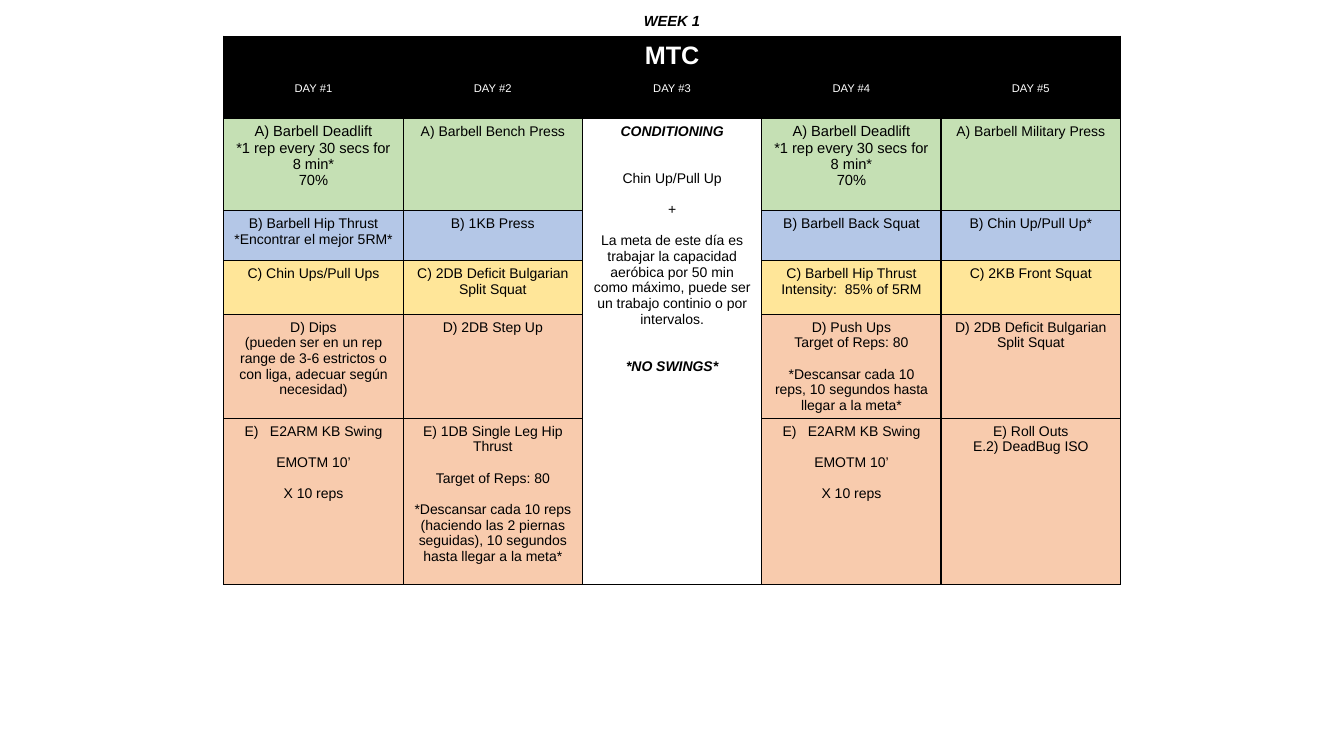
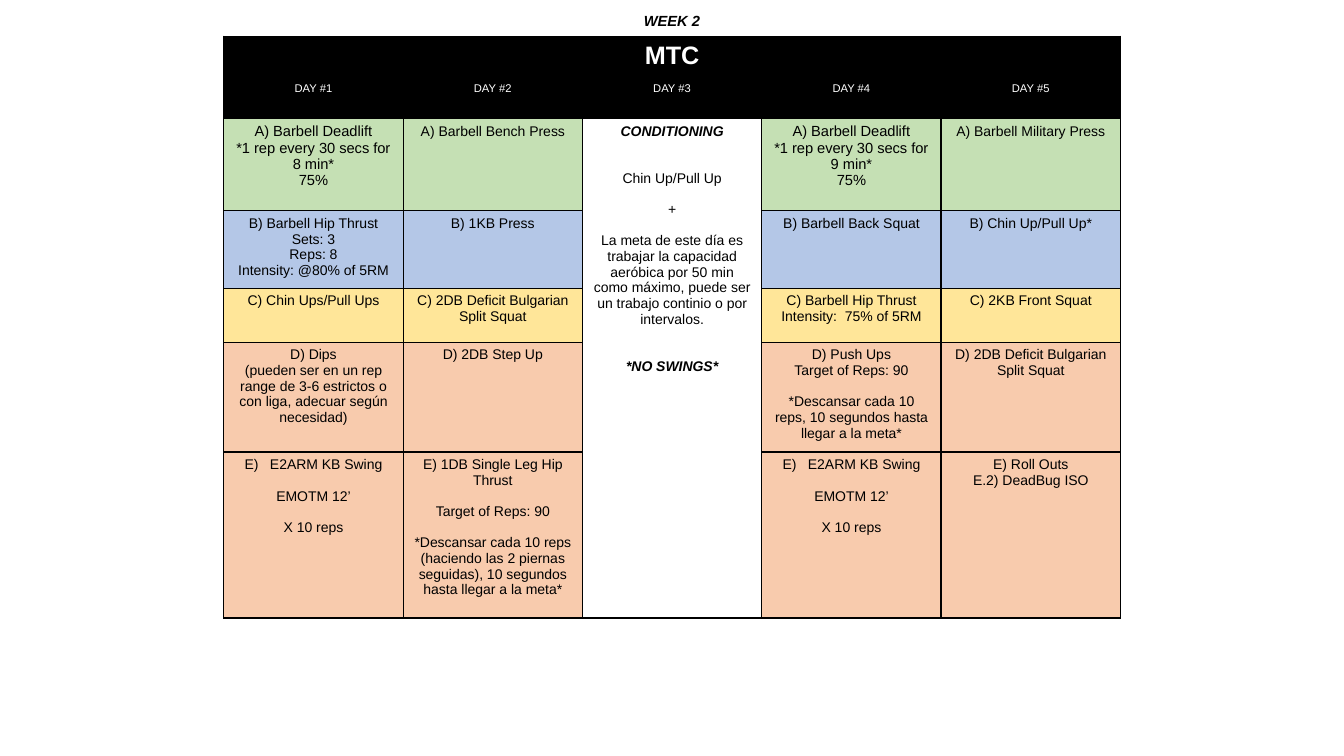
from dataclasses import dataclass

from lxml.etree import SubElement
from pptx import Presentation
from pptx.dml.color import RGBColor
from pptx.enum.text import MSO_AUTO_SIZE, PP_ALIGN
from pptx.oxml.ns import qn
from pptx.util import Cm, Pt


@dataclass(frozen=True)
class Theme:
    font: str = "Arial"
    black: str = "000000"
    white: str = "FFFFFF"
    exercise_fills: tuple = ("C5E0B4", "B4C7E7", "FFE699", "F8CBAD", "F8CBAD")
    title_size: float = 18
    day_size: float = 8
    body_size: float = 10
    large_size: float = 10.5
    blank_line: float = 11.2
    border_width: float = 1


THEME = Theme()
SLIDE_WIDTH, SLIDE_HEIGHT = Cm(33.87), Cm(19.05)
TABLE_LEFT, TABLE_TOP = Cm(5.64), Cm(0.91)
DAY_COUNT = 5
DAY_WIDTH = Cm(4.52)
REST_DAY = 2
HEADER_HEIGHT = 1.04
FIRST_EXERCISE_ROW = 2


@dataclass(frozen=True)
class Line:
    """One paragraph; gap counts the blank lines above it."""
    text: str
    gap: int = 0
    size: float = THEME.body_size
    strong: bool = False
    number_from: int = 0


@dataclass(frozen=True)
class Week:
    number: int
    deadlift_minutes: tuple
    deadlift_load: str
    hip_thrust_lines: tuple
    hip_thrust_load: str
    target: int
    swing_minutes: int
    hip_thrust_height: float

    def row_heights(self):
        return (HEADER_HEIGHT, HEADER_HEIGHT, 2.32, self.hip_thrust_height,
                1.36, 2.62, 4.18)

    def deadlift(self, minutes):
        texts = ("A) Barbell Deadlift", f"*1 rep every 30 secs for {minutes} min*",
                 self.deadlift_load)
        return [Line(text, size=THEME.large_size) for text in texts]

    def exercises(self):
        """Rows A to E; each row lists the four training days."""
        first_deadlift, second_deadlift = map(self.deadlift, self.deadlift_minutes)
        target = f"Target of Reps: {self.target}"
        swing = [Line("E2ARM KB Swing", number_from=5),
                 Line(f"EMOTM {self.swing_minutes}’", gap=1),
                 Line("X 10 reps", gap=1)]
        split_squat = "Deficit Bulgarian Split Squat"
        return [
            [first_deadlift, [Line("A) Barbell Bench Press")],
             second_deadlift, [Line("A) Barbell Military Press")]],
            [[Line("B) Barbell Hip Thrust"), *map(Line, self.hip_thrust_lines)],
             [Line("B) 1KB Press")],
             [Line("B) Barbell Back Squat")],
             [Line("B) Chin Up/Pull Up*")]],
            [[Line("C) Chin Ups/Pull Ups")],
             [Line(f"C) 2DB {split_squat}")],
             [Line("C) Barbell Hip Thrust"),
              Line(f"Intensity:  {self.hip_thrust_load} of 5RM")],
             [Line("C) 2KB Front Squat")]],
            [[Line("D) Dips"),
              Line("(pueden ser en un rep range de 3-6 estrictos o con liga, "
                   "adecuar según necesidad)")],
             [Line("D) 2DB Step Up")],
             [Line("D) Push Ups"), Line(target),
              Line("*Descansar cada 10 reps, 10 segundos hasta llegar a la meta*",
                   gap=1)],
             [Line(f"D) 2DB {split_squat}")]],
            [swing,
             [Line("E) 1DB Single Leg Hip Thrust"), Line(target, gap=1),
              Line("*Descansar cada 10 reps (haciendo las 2 piernas seguidas), "
                   "10 segundos hasta llegar a la meta*", gap=1)],
             swing,
             [Line("E) Roll Outs"), Line("E.2) DeadBug ISO")]],
        ]


CONDITIONING = [
    Line("CONDITIONING", strong=True),
    Line("Chin Up/Pull Up", gap=2),
    Line("+", gap=1),
    Line("La meta de este día es trabajar la capacidad aeróbica por 50 min como "
         "máximo, puede ser un trabajo continio o por intervalos.", gap=1),
    Line("*NO SWINGS*", gap=2, strong=True),
]

WEEKS = [
    Week(1, deadlift_minutes=(8, 8), deadlift_load="70%",
         hip_thrust_lines=("*Encontrar el mejor 5RM*",), hip_thrust_load="85%",
         target=80, swing_minutes=10, hip_thrust_height=1.26),
    Week(2, deadlift_minutes=(8, 9), deadlift_load="75%",
         hip_thrust_lines=("Sets: 3", "Reps: 8", "Intensity: @80% of 5RM"),
         hip_thrust_load="75%", target=90, swing_minutes=12, hip_thrust_height=1.84),
]


def write_text(paragraph, text, *, size=THEME.body_size, color=THEME.black,
               bold=False, italic=False, gap=0, number_from=0):
    paragraph.alignment = PP_ALIGN.CENTER
    if gap:
        paragraph.space_before = Pt(gap * THEME.blank_line)
    if number_from:
        number_paragraph(paragraph, number_from)
    run = paragraph.add_run()
    run.text = text
    font = run.font
    font.name, font.size = THEME.font, Pt(size)
    font.bold, font.italic = bold, italic
    font.color.rgb = RGBColor.from_string(color)


def number_paragraph(paragraph, start):
    """Number with capital letters, from the given place in the alphabet."""
    properties = paragraph._p.get_or_add_pPr()
    indent = Cm(0.64)
    properties.set("marL", str(indent))
    properties.set("indent", str(-indent))
    SubElement(properties, qn("a:buFont"), typeface=THEME.font)
    SubElement(properties, qn("a:buAutoNum"), type="alphaUcParenR", startAt=str(start))


def style_cell(cell, fill):
    properties = cell._tc.get_or_add_tcPr()
    for side in ("lnL", "lnR", "lnT", "lnB"):
        border = SubElement(properties, qn(f"a:{side}"), w=str(Pt(THEME.border_width)))
        solid = SubElement(border, qn("a:solidFill"))
        SubElement(solid, qn("a:srgbClr"), val=THEME.black)
    cell.fill.solid()
    cell.fill.fore_color.rgb = RGBColor.from_string(fill)


def write_lines(cell, lines):
    frame = cell.text_frame
    for index, line in enumerate(lines):
        paragraph = frame.add_paragraph() if index else frame.paragraphs[0]
        write_text(paragraph, line.text, size=line.size, bold=line.strong,
                   italic=line.strong, gap=line.gap, number_from=line.number_from)


class TrainingDeck:
    def __init__(self, theme):
        self.theme = theme
        self.presentation = Presentation()
        self.presentation.slide_width = SLIDE_WIDTH
        self.presentation.slide_height = SLIDE_HEIGHT
        self.slide = None

    def add_slide(self):
        self.slide = self.presentation.slides.add_slide(
            self.presentation.slide_layouts[6])

    def add_heading(self, text):
        box = self.slide.shapes.add_textbox(0, Cm(0.18), SLIDE_WIDTH, Cm(0.74))
        box.text_frame.word_wrap = True
        box.text_frame.auto_size = MSO_AUTO_SIZE.SHAPE_TO_FIT_TEXT
        write_text(box.text_frame.paragraphs[0], text, size=self.theme.large_size,
                   bold=True, italic=True)

    def add_grid(self, heights):
        """Add the filled, merged and still empty table."""
        shape = self.slide.shapes.add_table(
            len(heights), DAY_COUNT, TABLE_LEFT, TABLE_TOP,
            DAY_WIDTH * DAY_COUNT, Cm(sum(heights)))
        table = shape.table
        table.first_row = table.horz_banding = False
        for column in table.columns:
            column.width = DAY_WIDTH
        fills = (self.theme.black,) * FIRST_EXERCISE_ROW + self.theme.exercise_fills
        for row_index, (height, fill) in enumerate(zip(heights, fills)):
            table.rows[row_index].height = Cm(height)
            for day in range(DAY_COUNT):
                resting = day == REST_DAY and row_index >= FIRST_EXERCISE_ROW
                style_cell(table.cell(row_index, day),
                           self.theme.white if resting else fill)
        table.cell(0, 0).merge(table.cell(0, DAY_COUNT - 1))
        table.cell(FIRST_EXERCISE_ROW, REST_DAY).merge(
            table.cell(len(heights) - 1, REST_DAY))
        return table

    def add_schedule(self, week):
        table = self.add_grid(week.row_heights())
        write_text(table.cell(0, 0).text_frame.paragraphs[0], "MTC",
                   size=self.theme.title_size, color=self.theme.white, bold=True)
        for day in range(DAY_COUNT):
            write_text(table.cell(1, day).text_frame.paragraphs[0], f"DAY #{day + 1}",
                       size=self.theme.day_size, color=self.theme.white)
        write_lines(table.cell(FIRST_EXERCISE_ROW, REST_DAY), CONDITIONING)
        training_days = [day for day in range(DAY_COUNT) if day != REST_DAY]
        for row_index, exercises in enumerate(week.exercises(), FIRST_EXERCISE_ROW):
            for day, lines in zip(training_days, exercises):
                write_lines(table.cell(row_index, day), lines)


def main():
    deck = TrainingDeck(THEME)
    for week in WEEKS:
        deck.add_slide()
        deck.add_schedule(week)
        deck.add_heading(f"WEEK {week.number}")
    deck.presentation.save("out.pptx")


if __name__ == "__main__":
    main()
